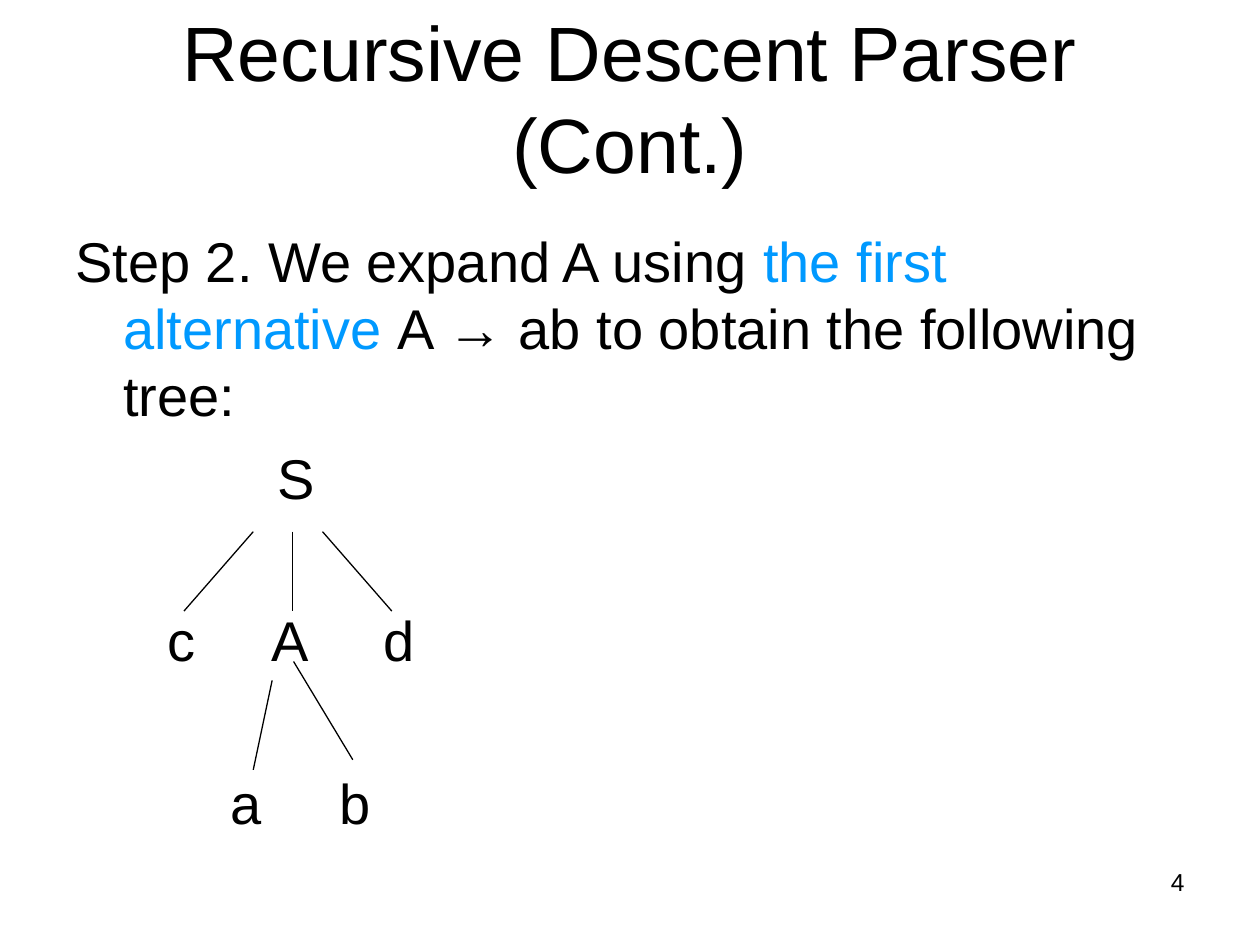
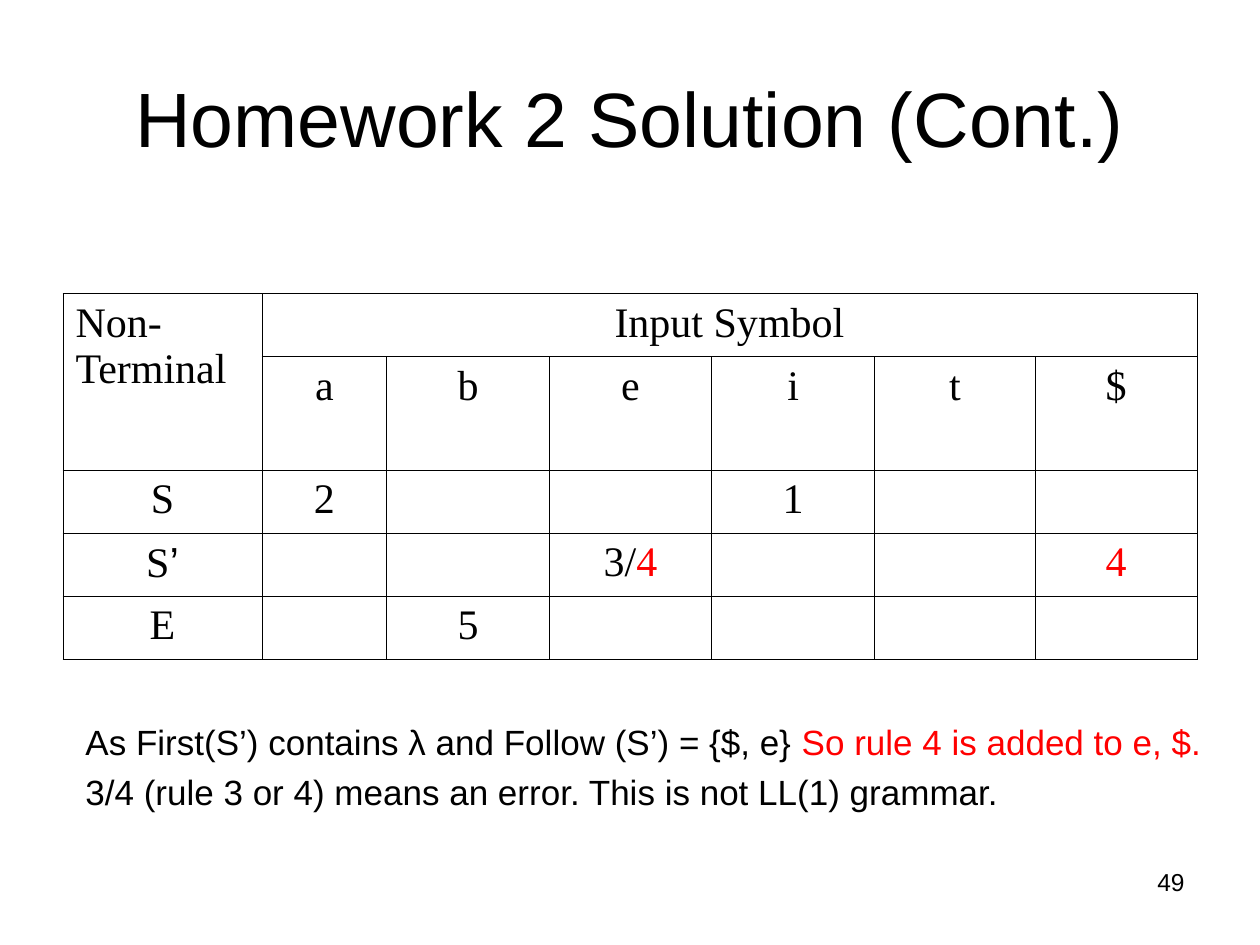
import pptx
import pptx.dml.color
import pptx.enum.shapes
import pptx.enum.text
import pptx.oxml.ns
import pptx.util
import lxml.etree

PX = 9144
BLACK, BLUE, RED = "000000", "0099FF", "FF0000"
ALIGN = pptx.enum.text.PP_ALIGN
ANCHOR = pptx.enum.text.MSO_ANCHOR
qn = pptx.oxml.ns.qn


def colour(code):
    return pptx.dml.color.RGBColor.from_string(code)


def write(frame, paragraphs, size, font="Arial", align=ALIGN.LEFT, hanging=0, leading=None, gap=0):
    for number, spans in enumerate(paragraphs):
        para = frame.paragraphs[0] if number == 0 else frame.add_paragraph()
        settings = para._p.get_or_add_pPr()
        settings.set("marL", str(hanging * PX))
        settings.set("indent", str(-hanging * PX))
        layout = {
            "alignment": align,
            "line_spacing": leading and pptx.util.Pt(round(size * leading, 1)),
            "space_before": pptx.util.Pt(gap if number else 0),
        }
        for name, value in layout.items():
            setattr(para, name, value)
        for words, code, *other_font in spans:
            span = para.add_run()
            span.text = words
            look = {"size": pptx.util.Pt(size), "name": other_font[0] if other_font else font}
            for name, value in look.items():
                setattr(span.font, name, value)
            span.font.color.rgb = colour(code)


deck = pptx.Presentation()
deck.slide_width, deck.slide_height = 1000 * PX, 750 * PX

step_text = [[
    ("Step 2. We expand A using ", BLACK),
    ("the first alternative ", BLUE),
    ("A → ab to obtain the following tree:", BLACK),
]]
conflict_text = [
    [
        ("As First(S’) contains λ and Follow (S’) = {$, e} ", BLACK),
        ("So rule 4 is added to e, $.", RED),
    ],
    [("3/4 (rule 3 or 4) means an error. This is not LL(1) grammar.", BLACK)],
]
tree_nodes = [
    ("S", 235, 347),
    ("c", 144, 476),
    ("A", 230, 476),
    ("d", 317, 476),
    ("a", 195, 605),
    ("b", 282, 605),
]
node_boxes = [
    ((centre - 30, top, 60, 63), ANCHOR.TOP, [[(letter, BLACK)]], 32, ALIGN.CENTER)
    for letter, centre, top in tree_nodes
]
slides = [
    ("Recursive Descent Parser (Cont.)", ANCHOR.BOTTOM, "4",
     [((50, 175, 900, 170), ANCHOR.TOP, step_text, 32, ALIGN.LEFT)] + node_boxes),
    ("Homework 2 Solution (Cont.)", ANCHOR.MIDDLE, "49",
     [((58, 567, 917, 120), ANCHOR.TOP, conflict_text, 20, ALIGN.LEFT)]),
]

pages = []
for title, title_anchor, page_number, content_boxes in slides:
    page = deck.slides.add_slide(deck.slide_layouts[6])
    pages.append(page)
    shared_boxes = [
        ((717, 683, 233, 52), ANCHOR.TOP, [[(page_number, BLACK)]], 14, ALIGN.RIGHT),
        ((50, 30, 900, 125), title_anchor, [[(title, BLACK)]], 44, ALIGN.CENTER),
    ]
    for place, anchor, paragraphs, size, align in shared_boxes + content_boxes:
        frame = page.shapes.add_textbox(*[length * PX for length in place]).text_frame
        for name, value in {"word_wrap": True, "vertical_anchor": anchor}.items():
            setattr(frame, name, value)
        hanging = 38 if align == ALIGN.LEFT else 0
        write(frame, paragraphs, size, align=align, hanging=hanging, leading=1.196, gap=5)

tree_page, table_page = pages

branches = [
    (201, 422, 146, 485),
    (232, 422, 232, 485),
    (256, 422, 311, 485),
    (216, 540, 201, 611),
    (233, 525, 280, 603),
]
for ends in branches:
    branch = tree_page.shapes.add_connector(
        pptx.enum.shapes.MSO_CONNECTOR.STRAIGHT, *[length * PX for length in ends])
    branch.line.color.rgb = colour(BLACK)
    branch.line.width = pptx.util.Pt(0.75)
    lxml.etree.SubElement(branch._element.spPr, qn("a:effectLst"))

column_widths = [158, 99] + [129] * 3 + [128] * 2
row_heights = [50, 90, 50, 50, 50]
parse_rows = [
    ["", "Input Symbol", "", "", "", "", ""],
    ["", "a", "b", "e", "i", "t", "$"],
    ["S", "2", "", "", "1", "", ""],
    ["", "", "", "", "", "", ""],
    ["E", "", "5", "", "", "", ""],
]
mixed_cells = {
    (0, 0): [[("Non-", BLACK)], [("Terminal", BLACK)]],
    (3, 0): [[("S", BLACK), ("’", BLACK, "Arial")]],
    (3, 3): [[("3/", BLACK), ("4", RED)]],
    (3, 6): [[("4", RED)]],
}
table = table_page.shapes.add_table(
    len(row_heights), len(column_widths), 50 * PX, 233 * PX,
    sum(column_widths) * PX, sum(row_heights) * PX).table
for column, width in zip(table.columns, column_widths):
    column.width = width * PX
for row, height in zip(table.rows, row_heights):
    row.height = height * PX
table.cell(0, 0).merge(table.cell(1, 0))
table.cell(0, 1).merge(table.cell(0, 6))

for row, texts in enumerate(parse_rows):
    for column, text in enumerate(texts):
        cell = table.cell(row, column)
        cell_format = cell._tc.get_or_add_tcPr()
        for side in ("lnL", "lnR", "lnT", "lnB"):
            border = lxml.etree.SubElement(
                cell_format, qn("a:" + side), w=str(pptx.util.Pt(0.45)))
            fill = lxml.etree.SubElement(border, qn("a:solidFill"))
            lxml.etree.SubElement(fill, qn("a:srgbClr"), val=BLACK)
        cell.fill.background()
        lines = mixed_cells.get((row, column), [[(text, BLACK)]] if text else [])
        align = ALIGN.LEFT if (row, column) == (0, 0) else ALIGN.CENTER
        write(cell.text_frame, lines, 24, "Times New Roman", align)

deck.save("out.pptx")
